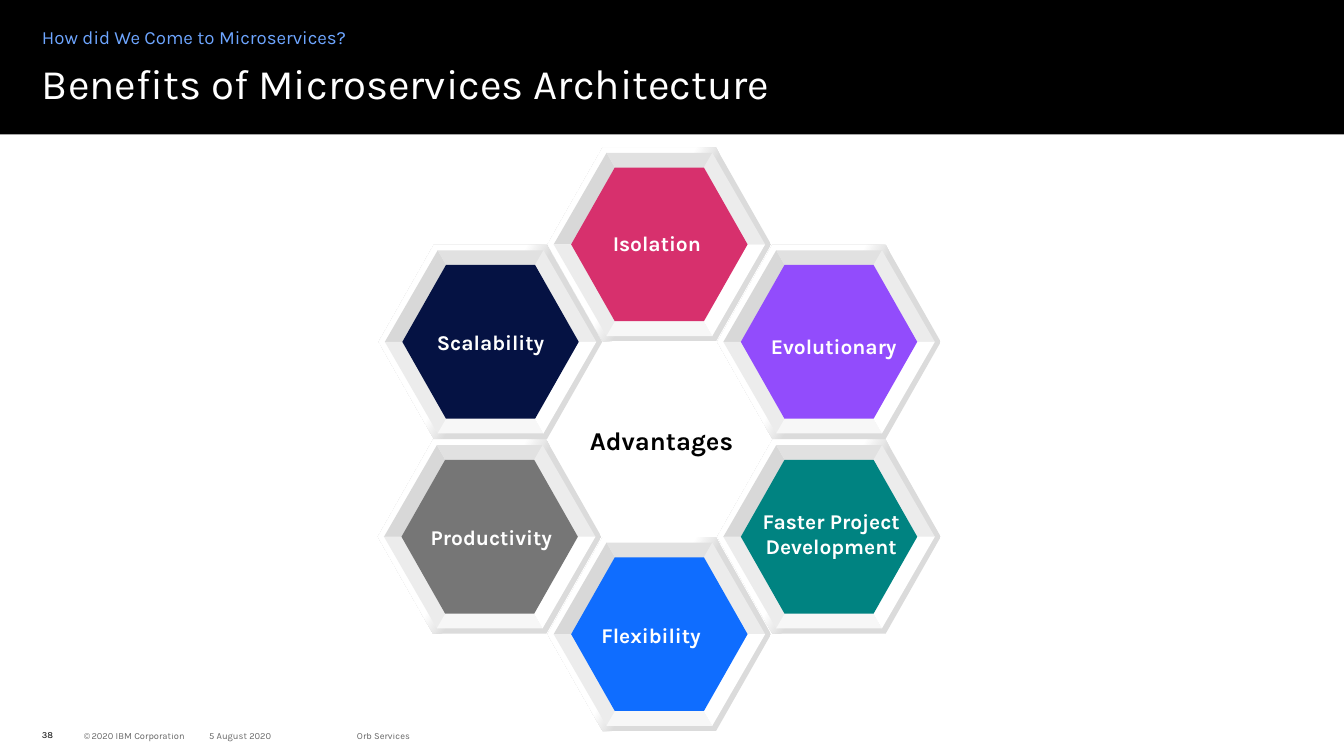
from math import cos, radians, sin

from lxml.etree import SubElement
from pptx import Presentation
from pptx.dml.color import RGBColor
from pptx.enum.shapes import MSO_SHAPE
from pptx.enum.text import MSO_ANCHOR, PP_ALIGN
from pptx.oxml.ns import qn

EMU_PER_PX = 9144  # 100 px to the inch

BLACK = RGBColor(0x00, 0x00, 0x00)
WHITE = RGBColor(0xFF, 0xFF, 0xFF)
SKY = RGBColor(0x6E, 0xA6, 0xFF)
NAVY = RGBColor(0x05, 0x12, 0x43)
PINK = RGBColor(0xD7, 0x30, 0x6D)
GRAY = RGBColor(0x76, 0x76, 0x76)
BLUE = RGBColor(0x0F, 0x6D, 0xFF)
PURPLE = RGBColor(0x92, 0x4C, 0xFC)
TEAL = RGBColor(0x00, 0x83, 0x81)
RIM_SHADE = RGBColor(0xDB, 0xDB, 0xDB)

# Direction each bevel facet points in, with its shade
FACETS = [
    (120, RGBColor(0xD8, 0xD8, 0xD8)),
    (180, RGBColor(0xE1, 0xE1, 0xE1)),
    (240, RGBColor(0xEC, 0xEC, 0xEC)),
    (60, RGBColor(0xEC, 0xEC, 0xEC)),
    (0, RGBColor(0xF7, 0xF7, 0xF7)),
    (300, WHITE),
]
FACET_RADIUS = 54.5

# Centre of each tile and its colour; None stands for the plain middle
TILES = [
    (584, 407, NAVY),
    (786, 529, None),
    (785, 291, PINK),
    (583, 639, GRAY),
    (785, 755, BLUE),
    (987, 407, PURPLE),
    (987, 639, TEAL),
]

LABELS = [
    ("Isolation", 695, 269, 174, 43),
    ("Evolutionary", 903, 392, 179, 43),
    ("Faster Project Development", 895, 600, 189, 107),
    ("Flexibility", 694, 736, 162, 43),
    ("Productivity", 495, 619, 180, 43),
    ("Scalability", 494, 387, 180, 43),
]


class SlideBuilder:
    def __init__(self, deck, font_name):
        self.page = deck.slides.add_slide(deck.slide_layouts[6])
        self.font_name = font_name

    def px(self, *lengths):
        return [round(length * EMU_PER_PX) for length in lengths]

    def shape(self, kind, left, top, width, height, color):
        shape = self.page.shapes.add_shape(kind, *self.px(left, top, width, height))
        shape.shadow.inherit = False
        shape.line.fill.background()
        shape.fill.solid()
        shape.fill.fore_color.rgb = color
        return shape

    def hexagon(self, center_x, center_y, width, height, color):
        hexagon = self.shape(MSO_SHAPE.HEXAGON, center_x - width / 2,
                             center_y - height / 2, width, height, color)
        hexagon.adjustments[0] = 0.284
        return hexagon

    def facet(self, center_x, center_y, direction, color):
        """Place a triangle on the ring so that its tip points to the centre."""
        width, height = 126, 109
        angle = radians(direction)
        left = center_x - FACET_RADIUS * sin(angle) - width / 2
        top = center_y + FACET_RADIUS * cos(angle) - height / 2
        triangle = self.shape(MSO_SHAPE.ISOSCELES_TRIANGLE, left, top,
                              width, height, color)
        triangle.rotation = direction

    def tile(self, center_x, center_y, color):
        rim = self.hexagon(center_x, center_y, 266, 231, WHITE)
        rim.fill.gradient()
        rim.fill.gradient_angle = 150
        rim_stops = [(0.47, RIM_SHADE), (0.56, WHITE)]
        for stop, (position, shade) in zip(rim.fill.gradient_stops, rim_stops):
            stop.position = position
            stop.color.rgb = shade
        for direction, shade in FACETS:
            self.facet(center_x, center_y, direction, shade)
        self.hexagon(center_x, center_y, 210, 183, color)

    def text(self, spans, left, top, width, height, color, bold=False,
             align=PP_ALIGN.LEFT, anchor=MSO_ANCHOR.TOP, inset=0,
             line_spacing=1.0, opacity=100):
        """Write one paragraph from (text, point size) spans."""
        box = self.page.shapes.add_textbox(*self.px(left, top, width, height))
        frame = box.text_frame
        frame.word_wrap = True
        frame.vertical_anchor = anchor
        frame.margin_left, frame.margin_right = self.px(inset, inset)
        frame.margin_top, frame.margin_bottom = self.px(inset / 2, inset / 2)
        para = frame.paragraphs[0]
        para.alignment = align
        para.line_spacing = line_spacing
        for words, size in spans:
            span = para.add_run()
            span.text = words
            span.font.name = self.font_name
            span.font.size = size * 12700
            span.font.bold = bold
            span.font.color.rgb = color
            if opacity < 100:
                for tint in span.font._element.iter(qn("a:srgbClr")):
                    SubElement(tint, qn("a:alpha"), val=str(opacity * 1000))

    def label(self, words, left, top, width, height, size, color):
        self.text([(words, size)], left, top, width, height, color, bold=True,
                  align=PP_ALIGN.CENTER, inset=10)

    def footer(self, spans, left, top, width, opacity):
        self.text(spans, left, top, width, 24, BLACK,
                  anchor=MSO_ANCHOR.MIDDLE, opacity=opacity)


def main():
    deck = Presentation()
    deck.slide_width, deck.slide_height = 1600 * EMU_PER_PX, 900 * EMU_PER_PX
    slide = SlideBuilder(deck, "Karla")

    slide.footer([("©", 8), (" ", 4), ("2020 IBM Corporation", 8)], 100, 864, 250, 60)
    slide.footer([("5 August 2020", 8)], 249, 864, 150, 60)
    slide.footer([("Orb Services", 8)], 425, 864, 250, 60)
    slide.footer([("38", 8)], 50, 863, 36, 100)

    slide.shape(MSO_SHAPE.RECTANGLE, 0, 0, 1600, 160, BLACK)
    slide.text([("How did We Come to Microservices?", 16)], 50, 29, 720, 30, SKY,
               line_spacing=1.05)
    slide.text([("Benefits of Microservices Architecture", 36)], 50, 75, 1500, 85,
               WHITE, line_spacing=0.9)

    for center_x, center_y, color in TILES:
        if color is None:
            slide.hexagon(center_x, center_y, 271, 236, WHITE)
        else:
            slide.tile(center_x, center_y, color)

    for words, left, top, width, height in LABELS:
        slide.label(words, left, top, width, height, 18, WHITE)
    slide.label("Advantages", 684, 501, 207, 50, 22, BLACK)

    deck.save("out.pptx")


if __name__ == "__main__":
    main()
